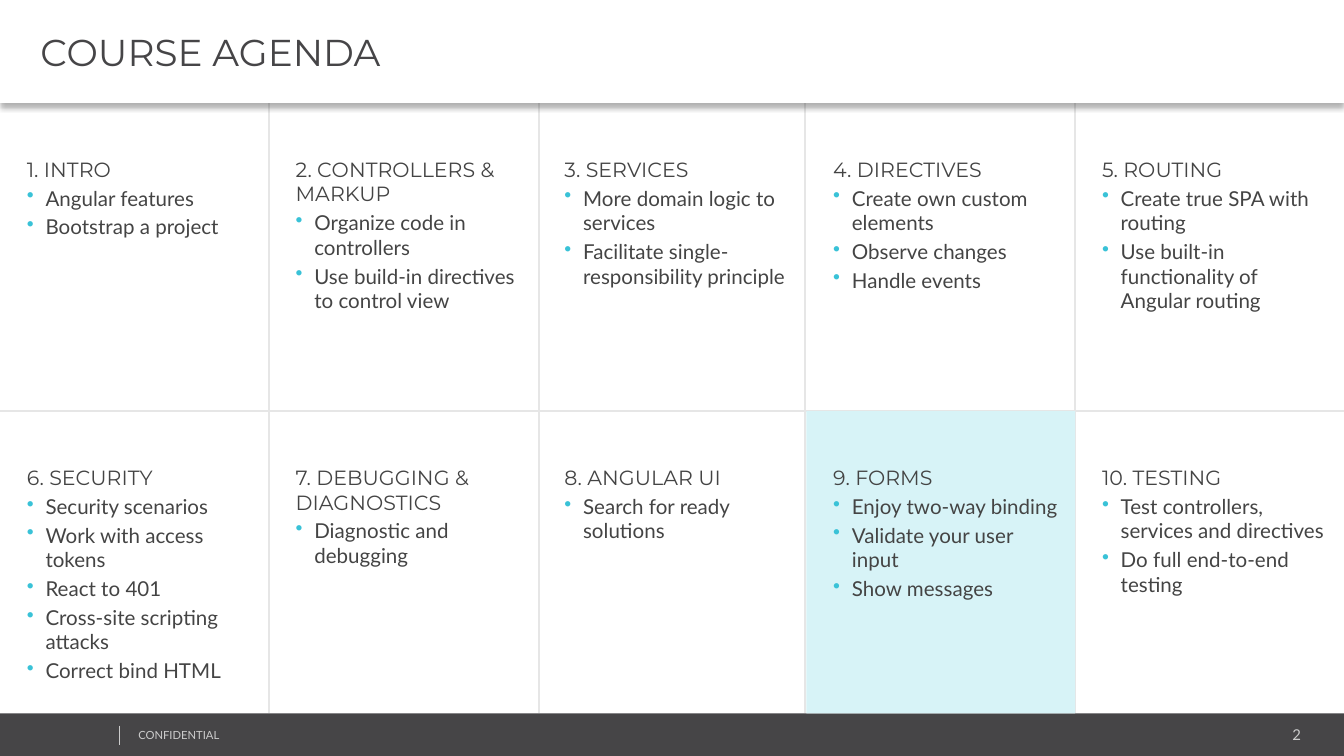
"""Build the course agenda slide: ten topics in a five by two grid."""
from dataclasses import dataclass

from lxml.etree import SubElement
from pptx import Presentation
from pptx.dml.color import RGBColor as RGB
from pptx.enum.shapes import MSO_CONNECTOR as LINE, MSO_SHAPE as SHAPE
from pptx.enum.text import MSO_ANCHOR as ANCHOR, MSO_AUTO_SIZE as FIT, PP_ALIGN as ALIGN
from pptx.oxml.ns import qn
from pptx.util import Pt

TITLE = "COURSE AGENDA"
FOOTER, NUMBER = "CONFIDENTIAL", "2"
TOPICS = [
    ("1. INTRO", ["Angular features", "Bootstrap a project"]),
    ("2. CONTROLLERS & MARKUP", ["Organize code in controllers",
                                 "Use build-in directives to control view"]),
    ("3. SERVICES", ["More domain logic to services",
                     "Facilitate single-responsibility principle"]),
    ("4. DIRECTIVES", ["Create own custom elements", "Observe changes", "Handle events"]),
    ("5. ROUTING", ["Create true SPA with routing",
                    "Use built-in functionality of Angular routing"]),
    ("6. SECURITY", ["Security scenarios", "Work with access tokens", "React to 401",
                     "Cross-site scripting attacks", "Correct bind HTML"]),
    ("7. DEBUGGING & DIAGNOSTICS", ["Diagnostic and debugging"]),
    ("8. ANGULAR UI", ["Search for ready solutions"]),
    ("9. FORMS", ["Enjoy two-way binding", "Validate your user input", "Show messages"]),
    ("10. TESTING", ["Test controllers, services and directives",
                     "Do full end-to-end testing"]),
]
CURRENT = 8

WIDTH, HEIGHT = 720, 405
COLS = 5
COL_W = WIDTH / COLS
ROW_EDGES = [55.2, 220.3, 382.2]
DIVIDERS = [144, 288.7, 431.3, 576]
CELL_INSETS = (14.4, 28.8, 7.2, 3.6)
SMALL_INSETS = (5, 2.9, 5, 2.9)


@dataclass(frozen=True)
class Theme:
    head_font: str = "Montserrat"
    body_font: str = "Lato"
    title_size: float = 20
    cell_size: float = 11
    number_size: float = 8
    footer_size: float = 6
    dark: str = "464547"
    text: str = "444444"
    accent: str = "39C2D7"
    highlight: str = "D7F3F7"
    rule: str = "E6E6E6"
    muted: str = "CCCCCC"
    white: str = "FFFFFF"


T = Theme()


def style(p, font, size, color):
    for r in p.runs:
        r.font.name, r.font.size, r.font.bold = font, Pt(size), False
        r.font.color.rgb = RGB.from_string(color)


def setup_frame(tf, insets, anchor=ANCHOR.TOP):
    tf.word_wrap, tf.auto_size, tf.vertical_anchor = True, FIT.NONE, anchor
    tf.margin_left, tf.margin_top, tf.margin_right, tf.margin_bottom = map(Pt, insets)


def fill(sp, color):
    sp.fill.solid()
    sp.fill.fore_color.rgb = RGB.from_string(color)
    sp.line.fill.background()


def add_effects(sp):
    return SubElement(sp.element.spPr, qn("a:effectLst"))


def add_rect(s, box, color):
    sp = s.shapes.add_shape(SHAPE.RECTANGLE, *map(Pt, box))
    sp.shadow.inherit = False
    fill(sp, color)
    return sp


def add_line(s, ends, color, width):
    line = s.shapes.add_connector(LINE.STRAIGHT, *map(Pt, ends))
    line.line.color.rgb = RGB.from_string(color)
    line.line.width = Pt(width)
    add_effects(line)


def add_label(s, box, text, size, align):
    tf = s.shapes.add_textbox(*map(Pt, box)).text_frame
    setup_frame(tf, SMALL_INSETS)
    tf.text = text
    p = tf.paragraphs[0]
    p.alignment = align
    style(p, T.body_font, size, T.muted)


def add_bullet(p):
    p.space_before = Pt(T.cell_size * 0.2)
    pPr = p._p.get_or_add_pPr()
    pPr.set("marL", str(Pt(10)))
    pPr.set("indent", str(-Pt(10)))
    SubElement(SubElement(pPr, qn("a:buClr")), qn("a:srgbClr"), val=T.accent)
    SubElement(pPr, qn("a:buChar"), char="•")


def add_topic(s, index, heading, points):
    row, col = divmod(index, COLS)
    top, bottom = ROW_EDGES[row:row + 2]
    box = (col * COL_W, top, COL_W, bottom - top)
    sp = add_rect(s, box, T.highlight) if index == CURRENT else s.shapes.add_textbox(*map(Pt, box))
    tf = sp.text_frame
    setup_frame(tf, CELL_INSETS)
    tf.text = "\n".join([heading, *points])
    for i, p in enumerate(tf.paragraphs):
        p.alignment = ALIGN.LEFT
        style(p, T.body_font if i else T.head_font, T.cell_size, T.text)
        if i:
            add_bullet(p)


def format_title(title):
    title.left, title.top, title.width, title.height = map(Pt, (0, 0, WIDTH, ROW_EDGES[0]))
    fill(title, T.white)
    shadow = SubElement(add_effects(title), qn("a:outerShdw"), blurRad=str(Pt(3.1)),
                        dist=str(Pt(2)), dir="5400000", algn="t", rotWithShape="0")
    color = SubElement(shadow, qn("a:srgbClr"), val="000000")
    SubElement(color, qn("a:alpha"), val="30000")
    tf = title.text_frame
    setup_frame(tf, (21.6, 2.9, 5, 2.9), ANCHOR.MIDDLE)
    tf.text = TITLE
    p = tf.paragraphs[0]
    p.alignment = ALIGN.LEFT
    style(p, T.head_font, T.title_size, T.dark)
    title.element.getparent().append(title.element)


def main():
    prs = Presentation()
    prs.slide_width, prs.slide_height = Pt(WIDTH), Pt(HEIGHT)
    s = prs.slides.add_slide(prs.slide_layouts[5])
    top, middle, bottom = ROW_EDGES
    add_rect(s, (0, bottom, WIDTH, HEIGHT - bottom), T.dark)
    add_label(s, (584.6, 386, 117.4, 15), NUMBER, T.number_size, ALIGN.RIGHT)
    add_label(s, (69.1, 387.2, 182, 13), FOOTER, T.footer_size, ALIGN.LEFT)
    add_line(s, (64, 388.8, 64, 398.9), T.muted, 0.25)
    for x in DIVIDERS:
        add_line(s, (x, top, x, bottom), T.rule, 1)
    add_line(s, (0, middle, WIDTH, middle), T.rule, 1)
    for i, (heading, points) in enumerate(TOPICS):
        add_topic(s, i, heading, points)
    format_title(s.shapes.title)
    prs.save("out.pptx")


if __name__ == "__main__":
    main()
